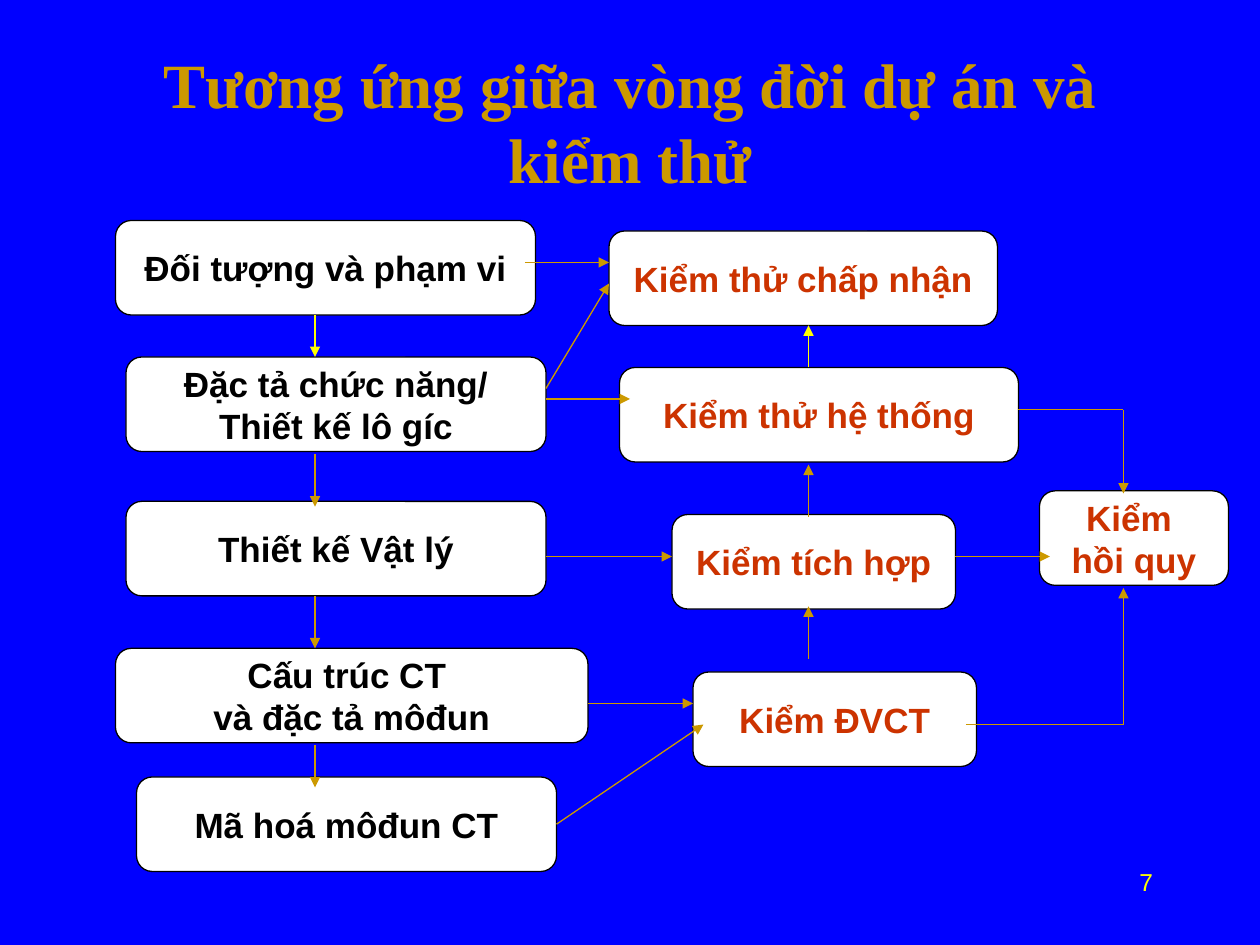
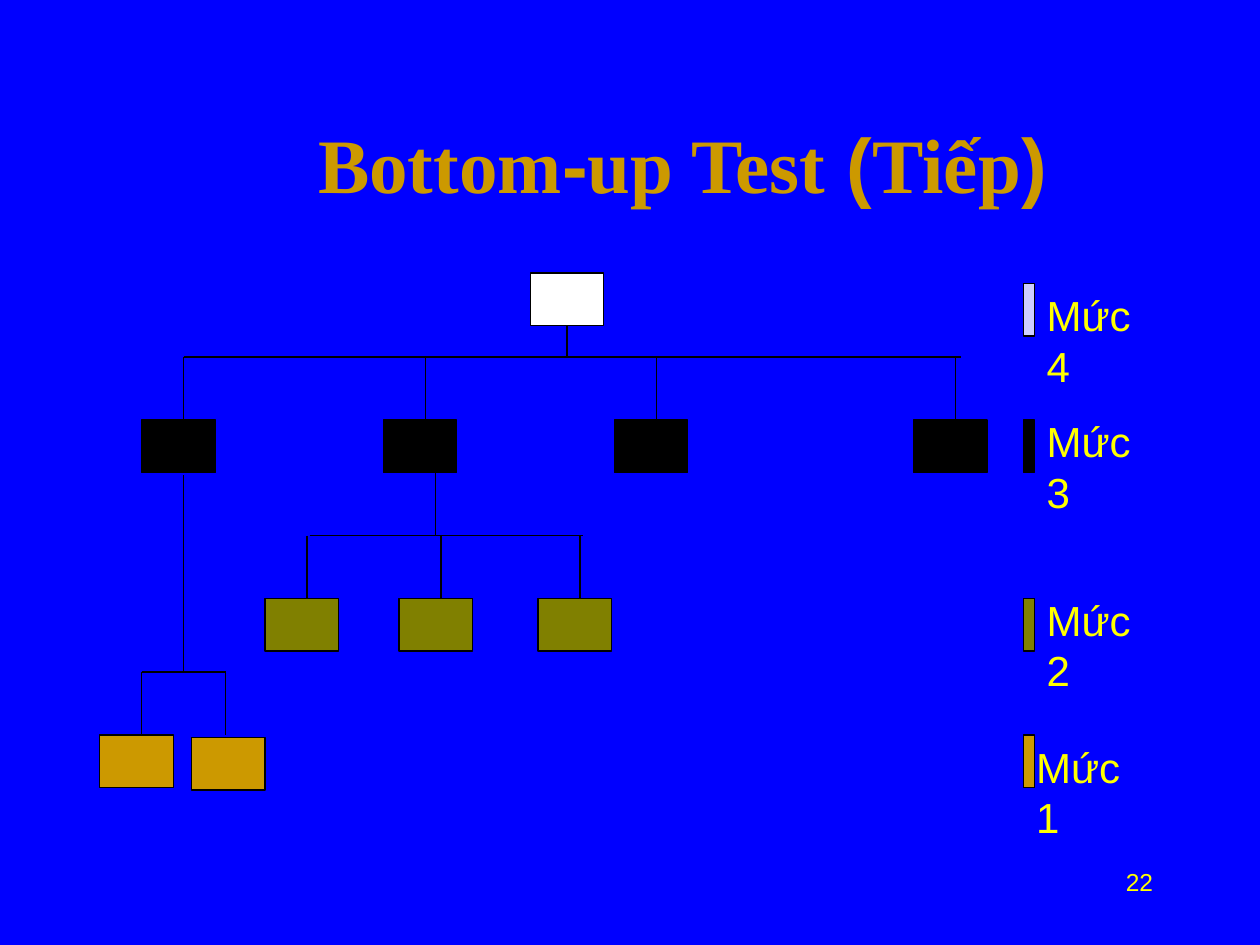
from lxml import etree
from pptx import Presentation
from pptx.dml.color import RGBColor
from pptx.enum.shapes import MSO_CONNECTOR, MSO_SHAPE
from pptx.enum.text import MSO_ANCHOR, MSO_AUTO_SIZE, PP_ALIGN
from pptx.oxml.ns import qn
from pptx.util import Inches, Pt

STRAIGHT = MSO_CONNECTOR.STRAIGHT
RECTANGLE, ROUNDED = MSO_SHAPE.RECTANGLE, MSO_SHAPE.ROUNDED_RECTANGLE
MIDDLE = MSO_ANCHOR.MIDDLE
FIXED = MSO_AUTO_SIZE.NONE
LEFT, CENTER, RIGHT = PP_ALIGN.LEFT, PP_ALIGN.CENTER, PP_ALIGN.RIGHT
TOP, SIDE_LEFT, BOTTOM, SIDE_RIGHT = range(4)

COLUMNS, ROWS = 120, 90
SANS, SERIF = "Arial", "Times New Roman"
COLORS = {
    "background": "0000FF", "gold": "CC9900", "yellow": "FFFF00",
    "white": "FFFFFF", "black": "000000", "red": "CC3300",
    "olive": "808000", "lavender": "CCCCFF",
}


def color(name):
    """Return the named colour."""
    return RGBColor.from_string(COLORS[name])


class Deck:
    """Hold the shared style and the slide being built."""

    def __init__(self):
        """Open a deck with the shared background."""
        self.prs = Presentation()
        self.prs.slide_width, self.prs.slide_height = Inches(10), Inches(7.5)
        self.slide = None
        fill = self.prs.slide_master.background.fill
        fill.solid()
        fill.fore_color.rgb = color("background")

    def grid(self, *lengths):
        """Turn alternating columns and rows into slide lengths."""
        units = (self.prs.slide_width / COLUMNS, self.prs.slide_height / ROWS)
        return [round(length * units[i % 2]) for i, length in enumerate(lengths)]

    def style(self, paragraph, size, ink, align, font=None, bold=False):
        """Format one paragraph."""
        paragraph.alignment = align
        paragraph.font.size = Pt(size)
        paragraph.font.bold = bold
        paragraph.font.color.rgb = color(ink)
        if font:
            paragraph.font.name = font

    def new_slide(self, title_runs, size, area, number):
        """Start a slide with its title and number."""
        self.slide = self.prs.slides.add_slide(self.prs.slide_layouts[5])
        title = self.slide.shapes.title
        title.left, title.top, title.width, title.height = self.grid(*area)
        frame = title.text_frame
        frame.auto_size, frame.vertical_anchor = FIXED, MIDDLE
        heading = frame.paragraphs[0]
        shared = title_runs[0][1] if len(title_runs) == 1 else None
        self.style(heading, size, "gold", CENTER, shared, True)
        for words, font in title_runs:
            run = heading.add_run()
            run.text = words
            if not shared:
                run.font.name = font
        self.label(number, (86, 82, 25, 6), 14, RIGHT, True)

    def label(self, words, area, size, align=LEFT, wrap=False):
        """Add plain yellow text."""
        frame = self.slide.shapes.add_textbox(*self.grid(*area)).text_frame
        frame.word_wrap = wrap
        frame.text = words
        self.style(frame.paragraphs[0], size, "yellow", align, SANS)

    def box(self, area, fill, kind=RECTANGLE):
        """Add a filled, black-edged box."""
        box = self.slide.shapes.add_shape(kind, *self.grid(*area))
        box.shadow.inherit = False
        box.fill.solid()
        box.fill.fore_color.rgb = color(fill)
        box.line.color.rgb = color("black")
        box.line.width = Pt(0.75)
        return box

    def step(self, words, area, ink):
        """Add a rounded box with centred bold text."""
        step = self.box(area, "white", ROUNDED)
        frame = step.text_frame
        frame.word_wrap, frame.vertical_anchor = False, MIDDLE
        frame.text = words
        for paragraph in frame.paragraphs:
            self.style(paragraph, 20, ink, CENTER, SANS, True)
        return step

    def line(self, ends, ink="black", arrow=False):
        """Draw a thin line, with an arrowhead at its end if asked."""
        line = self.slide.shapes.add_connector(STRAIGHT, *self.grid(*ends))
        line.line.color.rgb = color(ink)
        line.line.width = Pt(0.75)
        properties = line._element.spPr
        if arrow:
            etree.SubElement(properties.find(qn("a:ln")), qn("a:tailEnd"), type="triangle")
        etree.SubElement(properties, qn("a:effectLst"))
        return line

    def branch(self, stem, bar, drops, foot):
        """Draw a stem, its crossbar and the drops below; return the stem."""
        stem_x, stem_top = stem
        bar_left, bar_right, bar_y = bar
        self.line((bar_left, bar_y, bar_right, bar_y))
        for x in drops:
            self.line((x, bar_y, x, foot))
        return self.line((stem_x, stem_top, stem_x, bar_y))


def build_life_cycle(deck):
    """Match project phases with test stages."""
    deck.new_slide([("Tương ứng giữa vòng đời dự án và kiểm thử", SERIF)],
                   36, (9, 4, 102, 15), "7")
    phases = [
        ("Đối tượng và phạm vi", 11, 21, 40),
        ("Đặc tả chức năng/\nThiết kế lô gíc", 12, 34, 40),
        ("Thiết kế Vật lý", 12, 47.75, 40),
        ("Cấu trúc CT \nvà đặc tả môđun", 11, 61.75, 45),
        ("Mã hoá môđun CT", 13, 74, 40),
    ]
    tests = [
        ("Kiểm thử chấp nhận", 58, 22, 37),
        ("Kiểm thử hệ thống", 59, 35, 38),
        ("Kiểm tích hợp", 64, 49, 27),
        ("Kiểm ĐVCT", 66, 64, 27),
        ("Kiểm \nhồi quy", 99, 46.75, 18),
    ]
    for stages, ink in ((phases, "black"), (tests, "red")):
        for words, left, top, width in stages:
            last_step = deck.step(words, (left, top, width, 9), ink)
            if words == phases[-1][0]:
                coding = last_step

    phase_flow = [(30, 34), (43.25, 48.25), (56.75, 61.75), (71, 75)]
    test_flow = [(35, 31), (49.25, 44.25), (62.75, 57.75)]
    for x, flow in ((30, phase_flow), (77, test_flow)):
        for i, (start, end) in enumerate(flow):
            deck.line((x, start, x, end), "gold" if i else "yellow", True)

    matches = [(50, 25, 58, 25), (52, 37, 58, 27), (52, 38, 60, 38),
               (52, 53, 64, 53), (56, 67, 66, 67), (91, 53, 100, 53)]
    for ends in matches:
        deck.line(ends, "gold", True)
    deck.line((53, 78.5, 67, 69), "gold", True).begin_connect(coding, SIDE_RIGHT)

    regression_x = 107
    for left, start, end in ((97, 39, 47), (92, 69, 56)):
        deck.line((left, start, regression_x, start), "gold")
        deck.line((regression_x, start, regression_x, end), "gold", True)


def build_bottom_up(deck):
    """Show the module tree and its levels."""
    deck.new_slide([("Bottom", SERIF), ("-", SANS), ("up Test", SERIF),
                    (" (", SANS), ("Tiếp", SERIF), (")", SANS)],
                   44, (23, 8, 84, 15), "22")
    root = deck.box((50.5, 26, 7, 5), "white")
    level_3, level_2 = (13.5, 36.5, 58.5, 87), (25.25, 38, 51.25)
    modules = [(x, 40, "black") for x in level_3]
    modules += [(x, 57, "olive") for x in level_2]
    modules += [(9.5, 70, "gold"), (18.25, 70.25, "gold")]
    for x, y, fill in modules:
        deck.box((x, y, 7, 5), fill)

    trunk = deck.branch((54, 31), (17.5, 91.5, 34), [x + 4 for x in level_3], 40)
    trunk.begin_connect(root, BOTTOM)
    deck.branch((41.5, 45), (29.5, 55.5, 51), [x + 4 for x in level_2], 57)
    deck.branch((17.5, 45.25), (13.5, 21.5, 64), (13.5, 21.5), 70)

    levels = [("Mức 4", "lavender", 27, 98.5, 27), ("Mức 3", "black", 40, 98.5, 39),
              ("Mức 2", "olive", 57, 98.5, 56), ("Mức 1", "gold", 70, 97.5, 70)]
    for words, fill, key_y, words_x, words_y in levels:
        deck.box((97.5, key_y, 1, 5), fill)
        deck.label(words, (words_x, words_y, 13.7, 6), 24)


def main():
    """Build and save both slides."""
    deck = Deck()
    build_life_cycle(deck)
    build_bottom_up(deck)
    deck.prs.save("out.pptx")


if __name__ == "__main__":
    main()
